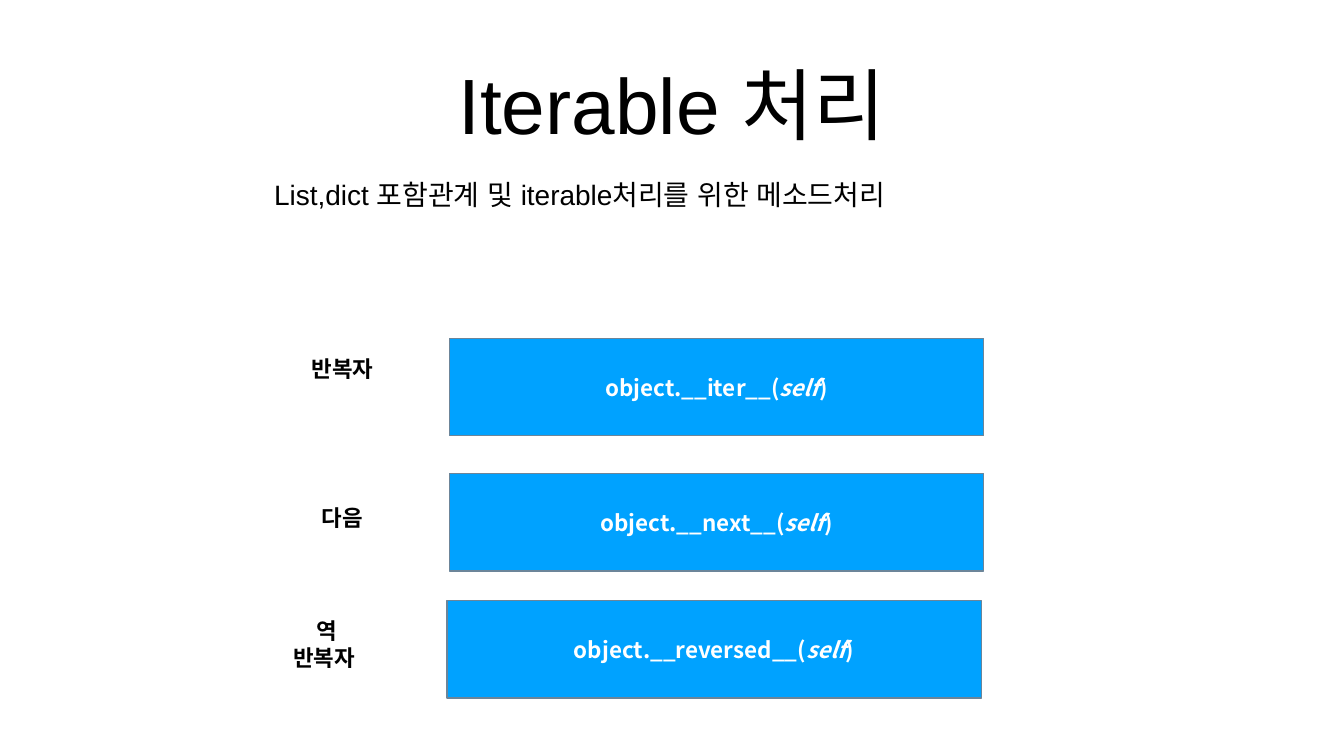
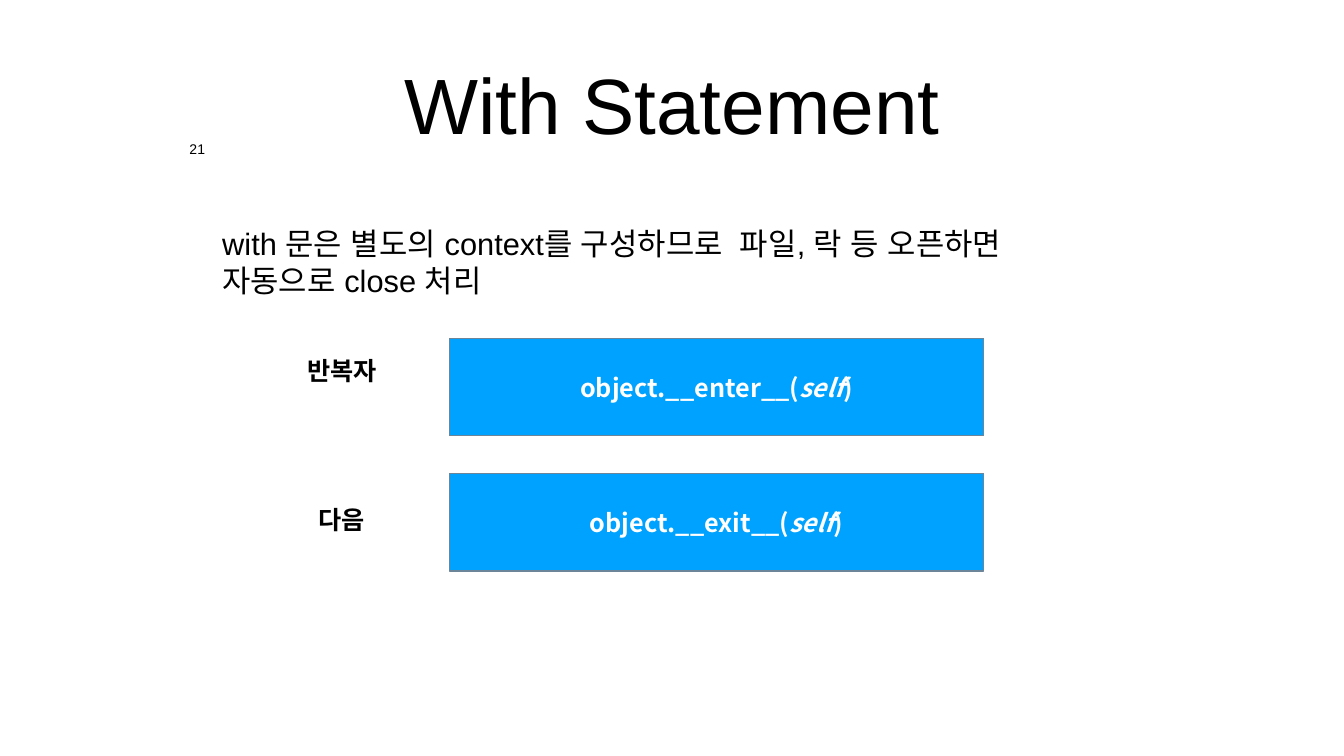
from lxml import etree
from pptx import Presentation
from pptx.dml.color import RGBColor
from pptx.enum.shapes import MSO_SHAPE
from pptx.enum.text import MSO_ANCHOR, MSO_AUTO_SIZE, PP_ALIGN
from pptx.oxml.ns import qn
from pptx.util import Inches, Pt

RECTANGLE = MSO_SHAPE.RECTANGLE
TOP, MIDDLE = MSO_ANCHOR.TOP, MSO_ANCHOR.MIDDLE
LEFT, CENTER = PP_ALIGN.LEFT, PP_ALIGN.CENTER
FIXED, GROW = MSO_AUTO_SIZE.NONE, MSO_AUTO_SIZE.SHAPE_TO_FIT_TEXT

COLORS = {"text": "000000", "code": "FFFFFF", "bar": "00A2FF", "bar_line": "6C8599"}
BODY_FONT, CODE_FONT = "Arial", "Noto Sans CJK KR"
TITLE_BOX = (4.8, 0.39, 17.07, 3.32)
BAR_LEFT, BAR_WIDTH, BAR_HEIGHT = 8.92, 10.6, 1.94
BAR_TOPS = (6.71, 9.39)


def color(name):
    return RGBColor.from_string(COLORS[name])


def place(shape, box):
    shape.left, shape.top, shape.width, shape.height = map(Inches, box)


def write(shape, paragraphs, size, font=BODY_FONT, ink="text", bold=False, align=CENTER,
          anchor=TOP, insets=(0.08, 0.08), wrap=True, fit=FIXED, before=0, spacing=None):
    """Fill a shape; each paragraph is a list of (text, italic) runs."""
    frame = shape.text_frame
    frame.word_wrap, frame.auto_size, frame.vertical_anchor = wrap, fit, anchor
    frame.margin_left = frame.margin_right = Inches(insets[0])
    frame.margin_top = frame.margin_bottom = Inches(insets[1])
    for index, runs in enumerate(paragraphs):
        paragraph = frame.add_paragraph() if index else frame.paragraphs[0]
        paragraph.alignment, paragraph.space_before = align, Pt(before)
        if spacing:
            paragraph.line_spacing = spacing
        for text, italic in runs:
            run = paragraph.add_run()
            run.text = text
            run.font.size, run.font.name = Pt(size), font
            run.font.bold, run.font.italic = bold, italic
            run.font.color.rgb = color(ink)
            # Korean glyphs take the East Asian typeface
            etree.SubElement(run.font._element, qn("a:ea"), typeface=font)


def plain(*lines):
    return [[(line, False)] for line in lines]


def add_titled_slide(presentation, title):
    slide = presentation.slides.add_slide(presentation.slide_layouts[1])
    place(slide.shapes.title, TITLE_BOX)
    write(slide.shapes.title, plain(title), 112, anchor=MIDDLE)
    return slide


def add_body(slide, box, text, size, level=0, first_indent=0, **style):
    body = slide.placeholders[1]
    place(body, box)
    write(body, plain(text), size, align=LEFT, **style)
    paragraph = body.text_frame.paragraphs[0]
    paragraph.level = level
    properties = paragraph._p.get_or_add_pPr()
    properties.set("marL", "0")
    properties.set("indent", str(Inches(first_indent)))
    etree.SubElement(properties, qn("a:buNone"))


def add_method_bar(slide, left, top, method, size, text_height):
    """Blue bar with the method signature centred on it."""
    group = slide.shapes.add_group_shape()
    bar = group.shapes.add_shape(RECTANGLE, *map(Inches, (left, top, BAR_WIDTH, BAR_HEIGHT)))
    bar.shadow.inherit = False
    bar.fill.solid()
    bar.fill.fore_color.rgb = color("bar")
    bar.line.color.rgb = color("bar_line")
    bar.line.width = Pt(1.5)
    text_top = top + (BAR_HEIGHT - text_height) / 2
    signature = group.shapes.add_textbox(*map(Inches, (left, text_top, BAR_WIDTH, text_height)))
    runs = [(f"object.__{method}__(", False), ("self", True), (")", False)]
    write(signature, [runs], size, font=CODE_FONT, ink="code", bold=True,
          anchor=MIDDLE, insets=(0.1, 0.1), fit=GROW)


def add_label(slide, box, lines, size, wrap=False):
    label = slide.shapes.add_textbox(*map(Inches, box))
    write(label, plain(*lines), size, font=CODE_FONT, bold=True,
          insets=(0.1, 0.05), wrap=wrap, fit=GROW)


def add_page_number(slide, box, number):
    page = slide.shapes.add_textbox(*map(Inches, box))
    write(page, plain(number), 20, wrap=False, fit=GROW, spacing=0.8)


def build_iterable_slide(presentation):
    slide = add_titled_slide(presentation, "Iterable 처리")
    add_body(slide, (4.36, 3.45, 18, 2), "List,dict 포함관계 및 iterable처리를 위한 메소드처리",
             40, level=1, first_indent=1, before=10)
    for top, method in zip(BAR_TOPS, ("iter", "next")):
        add_method_bar(slide, BAR_LEFT, top, method, 32, 0.74)
    add_label(slide, (6.02, 7, 1.55, 0.64), ["반복자"], 32)
    add_label(slide, (6.24, 9.96, 1.1, 0.64), ["다음"], 32)
    # Third row sits slightly to the left
    add_method_bar(slide, 8.87, 11.91, "reversed", 32, 0.74)
    add_label(slide, (5.35, 12.2, 2.16, 1.18), [" 역", "반복자"], 32, wrap=True)


def build_with_slide(presentation):
    slide = add_titled_slide(presentation, "With Statement")
    add_body(slide, (4.33, 3.5, 18, 3.37),
             "with 문은 별도의 context를 구성하므로  파일, 락 등 오픈하면 자동으로 close 처리",
             44, anchor=MIDDLE, before=59)
    add_page_number(slide, (3.68, 2.78, 0.47, 0.43), "21")
    for top, method in zip(BAR_TOPS, ("enter", "exit")):
        add_method_bar(slide, BAR_LEFT, top, method, 36, 0.81)
    add_label(slide, (5.93, 7, 1.72, 0.71), ["반복자"], 36)
    add_label(slide, (6.18, 9.96, 1.21, 0.71), ["다음"], 36)


def main():
    presentation = Presentation()
    presentation.slide_width, presentation.slide_height = Inches(26.67), Inches(15)
    build_iterable_slide(presentation)
    build_with_slide(presentation)
    presentation.save("out.pptx")


if __name__ == "__main__":
    main()
